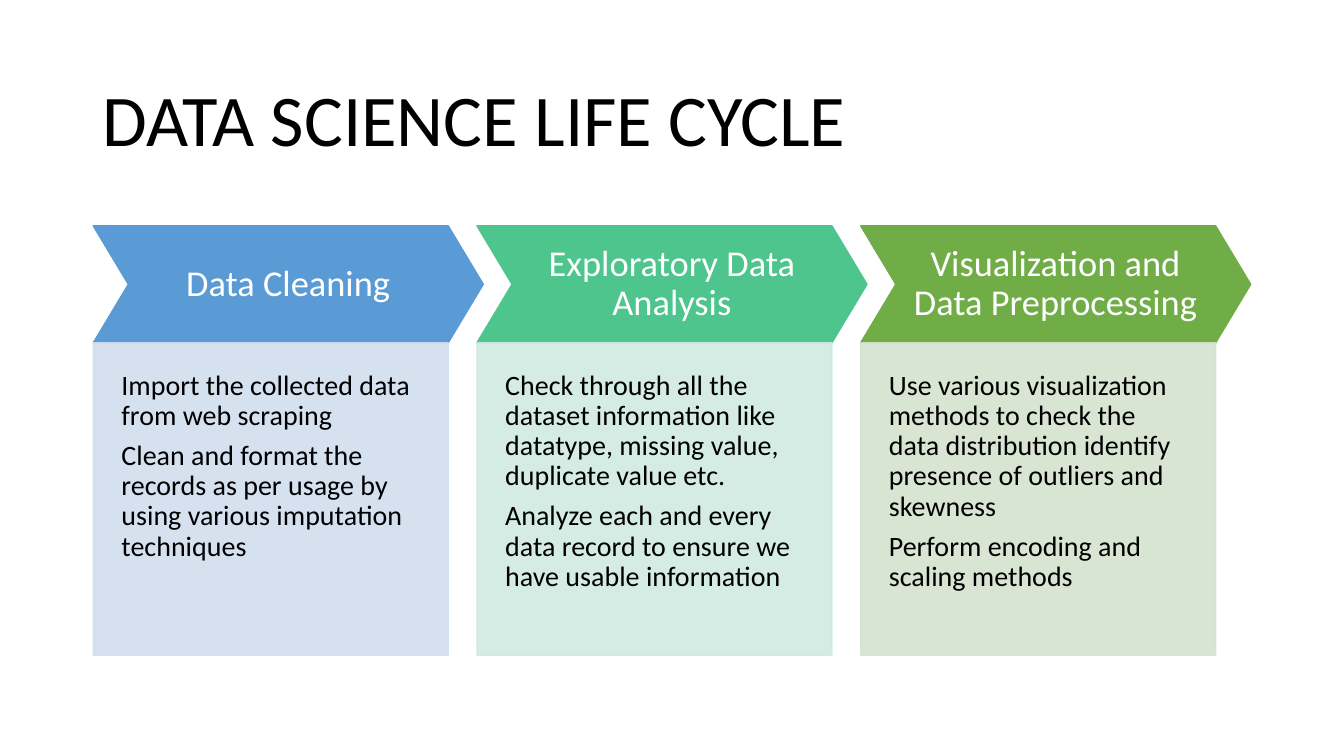
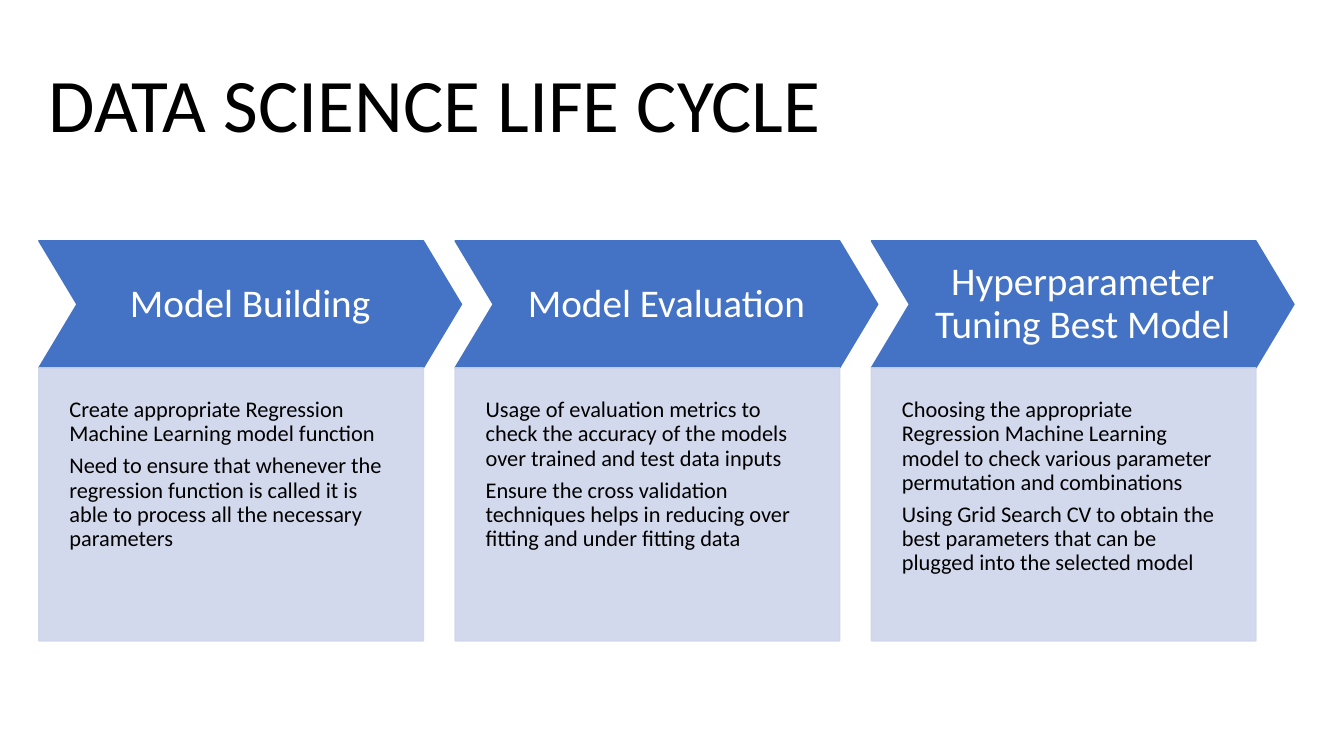
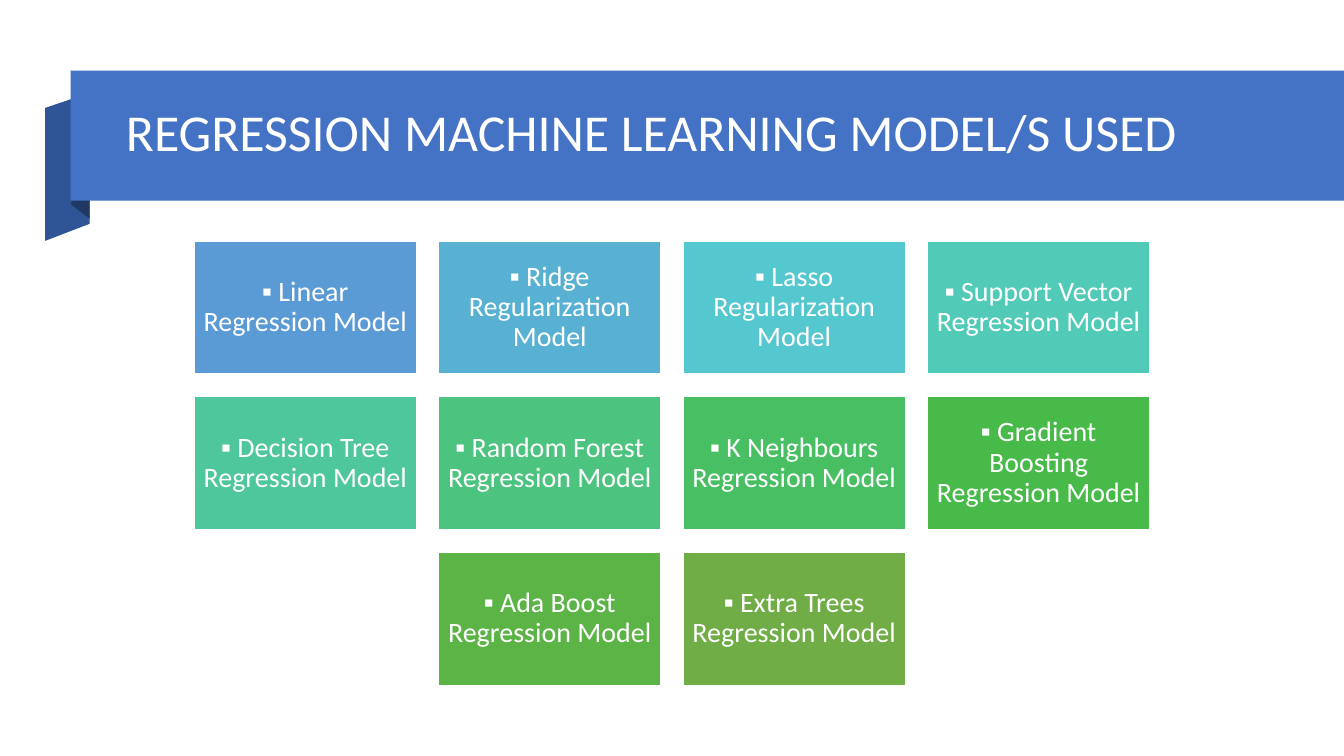
from dataclasses import dataclass

from pptx import Presentation
from pptx.dml.color import RGBColor
from pptx.enum.shapes import MSO_SHAPE
from pptx.enum.text import MSO_ANCHOR, MSO_AUTO_SIZE, PP_ALIGN
from pptx.oxml.ns import qn
from pptx.oxml.xmlchemy import OxmlElement
from pptx.util import Cm, Pt


@dataclass(frozen=True)
class Theme:
    font: str = "Calibri"
    dark: str = "000000"
    light: str = "FFFFFF"
    band: str = "4472C4"
    fold: str = "2F5597"
    shade: str = "203864"
    panel: str = "CFD5EA"
    tile_size: int = 20
    band_title: int = 37


T = Theme()
WIDTH, HEIGHT = 33.87, 19.05


def paint(sp, fill, line=None, alpha=None):
    sp.shadow.inherit = False
    sp.fill.solid()
    sp.fill.fore_color.rgb = RGBColor.from_string(fill)
    if line:
        sp.line.color.rgb = RGBColor.from_string(line)
        sp.line.width = Pt(1)
    else:
        sp.line.fill.background()
    if alpha:
        for clr in list(sp._element.spPr.iter(qn("a:srgbClr"))):
            a = OxmlElement("a:alpha")
            a.set("val", str(alpha * 1000))
            clr.append(a)
    return sp


def write(sp, texts, size, color, align=PP_ALIGN.LEFT, gap=0.35, **frame):
    tf = sp.text_frame
    frame = {"word_wrap": True, "auto_size": MSO_AUTO_SIZE.NONE,
             "vertical_anchor": MSO_ANCHOR.MIDDLE, **frame}
    for name, value in frame.items():
        setattr(tf, name, value)
    for i, text in enumerate(texts):
        p = tf.add_paragraph() if i else tf.paragraphs[0]
        for name, value in {"alignment": align, "line_spacing": 0.9,
                            "space_after": Pt(size * gap)}.items():
            setattr(p, name, value)
        r = p.add_run()
        r.text = text
        for name, value in {"name": T.font, "size": Pt(size)}.items():
            setattr(r.font, name, value)
        r.font.color.rgb = RGBColor.from_string(color)


prs = Presentation()
prs.slide_width, prs.slide_height = Cm(WIDTH), Cm(HEIGHT)
layout = prs.slide_layouts.get_by_name("Title Only")

cycles = [
    {
        "title_at": (2.33, 1.55, 29.21, 3.1), "title_size": 52,
        "left": 2.35, "top": 5.69, "pitch": 9.67, "head": (9.83, 2.95), "body_h": 7.87,
        "head_size": 26, "body_size": 20, "head_pad": 0.36, "body_pad": 0.71,
        "steps": [
            ("Data Cleaning", "5B9BD5", "D2DEEF", [
                "Import the collected data from web scraping",
                "Clean and format the records as per usage by using various imputation techniques"]),
            ("Exploratory Data Analysis", "4DC58D", "D0EAE1", [
                "Check through all the dataset information like datatype, missing value, duplicate value etc.",
                "Analyze each and every data record to ensure we have usable information"]),
            ("Visualization and Data Preprocessing", "70AD47", "D5E3CF", [
                "Use various visualization methods to check the data distribution identify presence of outliers and skewness",
                "Perform encoding and scaling methods"]),
        ],
    },
    {
        "title_at": (0.97, 0.89, 31.7, 3.68), "title_size": 54,
        "left": 0.98, "top": 6.07, "pitch": 10.49, "head": (10.65, 3.2), "body_h": 6.88,
        "head_size": 28, "body_size": 16, "head_pad": 0.4, "body_pad": 0.77,
        "steps": [
            ("Model Building", T.band, T.panel, [
                "Create appropriate Regression Machine Learning model function",
                "Need to ensure that whenever the regression function is called it is able to process all the necessary parameters"]),
            ("Model Evaluation", T.band, T.panel, [
                "Usage of evaluation metrics to check the accuracy of the models over trained and test data inputs",
                "Ensure the cross validation techniques helps in reducing over fitting and under fitting data"]),
            ("Hyperparameter Tuning Best Model", T.band, T.panel, [
                "Choosing the appropriate Regression Machine Learning model to check various parameter permutation and combinations",
                "Using Grid Search CV to obtain the best parameters that can be plugged into the selected model"]),
        ],
    },
]
sides = ("margin_left", "margin_top", "margin_right", "margin_bottom")
titles = []

for c in cycles:
    s = prs.slides.add_slide(layout)
    titles.append((s, "DATA SCIENCE LIFE CYCLE", c["title_at"], c["title_size"], T.dark))
    head_w, head_h = c["head"]
    notch = 0.3
    for i, (name, fill, tint, texts) in enumerate(c["steps"]):
        x = c["left"] + i * c["pitch"]
        sp = s.shapes.add_shape(MSO_SHAPE.CHEVRON, Cm(x), Cm(c["top"]), Cm(head_w), Cm(head_h))
        sp.adjustments[0] = notch
        paint(sp, fill, fill)
        write(sp, [name], c["head_size"], T.light, PP_ALIGN.CENTER,
              **dict.fromkeys(sides, Cm(c["head_pad"])))
        sp = s.shapes.add_shape(MSO_SHAPE.RECTANGLE, Cm(x), Cm(c["top"] + head_h),
                                Cm(head_w - notch * head_h), Cm(c["body_h"]))
        paint(sp, tint, tint, 90)
        pads = dict.fromkeys(sides, Cm(c["body_pad"]))
        pads["margin_bottom"] *= 2
        write(sp, texts, c["body_size"], T.dark, vertical_anchor=MSO_ANCHOR.TOP, **pads)

s = prs.slides.add_slide(layout)
for fill, points in [
    (T.fold, [(2.26, 5.64), (1.14, 6.07), (1.14, 2.72), (2.26, 2.34)]),
    (T.shade, [(2.26, 5.51), (1.8, 5.16), (1.8, 1.78), (2.26, 2.16)]),
]:
    start, *rest = [(Cm(x), Cm(y)) for x, y in points]
    outline = s.shapes.build_freeform(*start)
    outline.add_line_segments(rest, close=True)
    paint(outline.convert_to_shape(), fill)
paint(s.shapes.add_shape(MSO_SHAPE.RECTANGLE, Cm(1.78), Cm(1.78),
                         Cm(WIDTH - 1.78), Cm(3.28)), T.band)
titles.append((s, "REGRESSION MACHINE LEARNING MODEL/S USED",
               (2.92, 2.18, 28.63, 2.44), T.band_title, T.light))

tile_w, tile_h, gap, top = 5.6, 3.36, 0.56, 6.07
rows = [
    [("Linear Regression Model", "5B9BD5"), ("Ridge Regularization Model", "58B1D2"),
     ("Lasso Regularization Model", "55C7CE"), ("Support Vector Regression Model", "52CAB8")],
    [("Decision Tree Regression Model", "4FC79C"), ("Random Forest Regression Model", "4CC37F"),
     ("K Neighbours Regression Model", "49BF64"), ("Gradient Boosting Regression Model", "47BA49")],
    [("Ada Boost Regression Model", "5CB447"), ("Extra Trees Regression Model", "70AD47")],
]
for i, row in enumerate(rows):
    left = (WIDTH - len(row) * (tile_w + gap) + gap) / 2
    for j, (name, fill) in enumerate(row):
        sp = s.shapes.add_shape(MSO_SHAPE.RECTANGLE, Cm(left + j * (tile_w + gap)),
                                Cm(top + i * (tile_h + gap)), Cm(tile_w), Cm(tile_h))
        paint(sp, fill, T.light)
        write(sp, [f"▪ {name}"], T.tile_size, T.light, PP_ALIGN.CENTER,
              **dict.fromkeys(sides, Cm(0.2)))

for s, text, at, size, color in titles:
    sp = s.shapes.title
    for name, value in zip(("left", "top", "width", "height"), at):
        setattr(sp, name, Cm(value))
    write(sp, [text], size, color, gap=0)
    s.shapes._spTree.append(sp._element)

prs.save("out.pptx")
